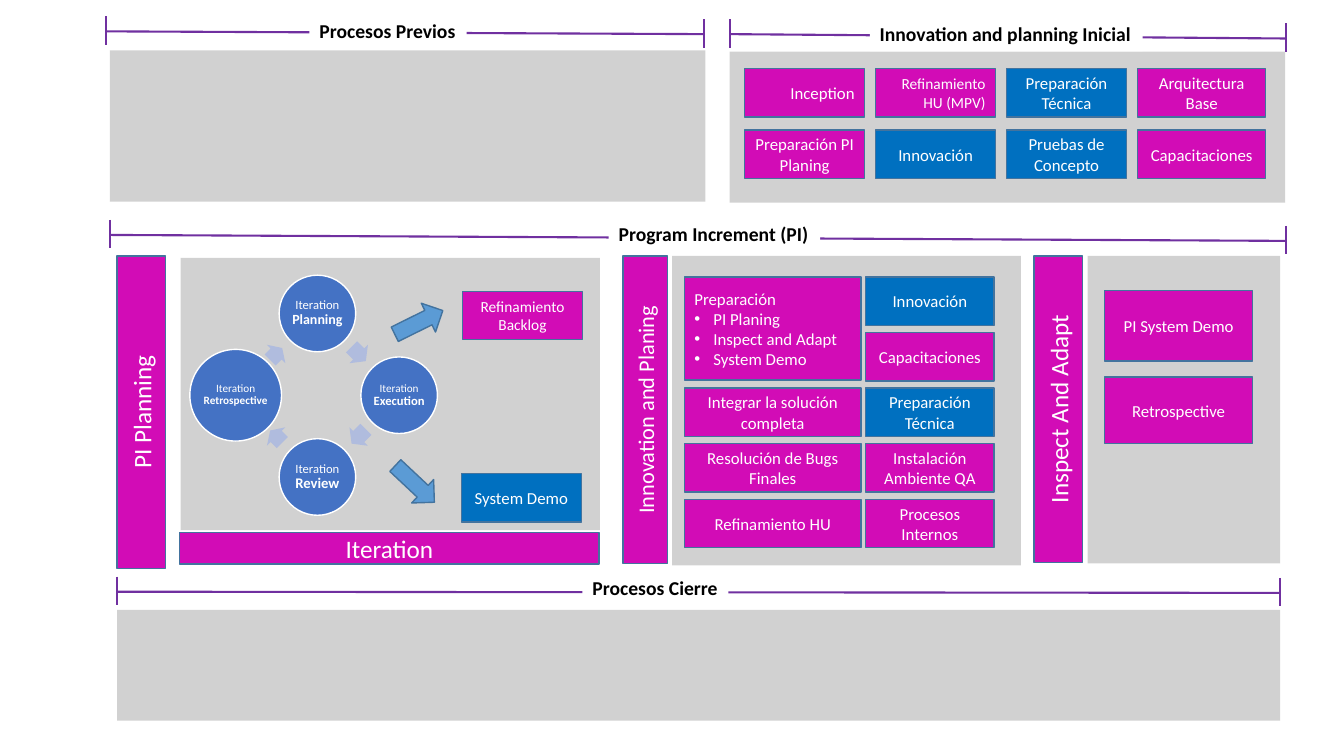
from math import cos, radians, sin
from lxml.etree import SubElement
from pptx import Presentation
from pptx.dml.color import RGBColor
from pptx.enum.shapes import MSO_CONNECTOR, MSO_SHAPE
from pptx.enum.text import MSO_ANCHOR, MSO_AUTO_SIZE, PP_ALIGN
from pptx.oxml.ns import qn
from pptx.util import Cm, Pt

THEME = {
    "font": "Calibri",
    "pink": "D20CB6", "blue": "0070C0", "edge": "43739E", "gray": "A5A5A5",
    "violet": "7030A0", "white": "FFFFFF", "black": "000000",
    "disc": "4472C4", "link": "B0BCDE", "arrow": "5B9BD5",
    "small": 11, "body": 12, "head": 14, "side": 16, "title": 18,
}
LEFT, MID, RIGHT, FULL = PP_ALIGN.LEFT, PP_ALIGN.CENTER, PP_ALIGN.RIGHT, PP_ALIGN.JUSTIFY

# All lengths are in centimetres: left, top, width, height
PANELS = [
    (18.39, 1.3, 14, 3.81), (4.55, 6.5, 10.57, 6.86), (16.94, 6.45, 8.79, 7.8),
    (27.41, 6.45, 4.85, 7.75), (2.77, 1.27, 15.01, 3.81), (2.95, 15.37, 29.31, 2.79),
]

# Label, its left, top and width, then the start and end of the line
SPANS = [
    ("Procesos Previos", (7.8, 0.36, 3.96), (2.67, 0.79), (17.75, 0.86)),
    ("Innovation and planning Inicial", (21.92, 0.43, 6.88), (18.39, 0.86), (32.4, 0.97)),
    ("Program Increment (PI)", (15.34, 5.46, 5.33), (2.77, 5.92), (32.41, 6.07)),
    ("Procesos Cierre", (14.68, 14.38, 3.68), (2.95, 14.91), (32.26, 14.94)),
]
TICK = (-0.38, 0.34)

# Text, fill, size, alignment
START = [
    [("Inception", "pink", "body", RIGHT), ("Refinamiento HU (MPV)", "pink", "small", RIGHT),
     ("Preparación Técnica", "blue", "body", MID), ("Arquitectura Base", "pink", "body", MID)],
    [("Preparación PI Planing", "pink", "body", MID), ("Innovación", "blue", "body", MID),
     ("Pruebas de Concepto", "blue", "body", MID), ("Capacitaciones", "pink", "body", MID)],
]
PREP = ("Preparación", ["PI Planing", "Inspect and Adapt", "System Demo"])
TASKS = ["Integrar la solución completa", "Resolución de Bugs Finales", "Refinamiento HU"]
SUPPORT = [
    ("Innovación", "blue"), ("Capacitaciones", "pink"), ("Preparación Técnica", "blue"),
    ("Instalación Ambiente QA", "pink"), ("Procesos Internos", "pink"),
]
SINGLES = [
    ("Refinamiento Backlog", (11.66, 7.34, 3.02, 1.22), "pink", "small"),
    ("System Demo", (11.63, 11.94, 3.02, 1.22), "blue", "body"),
    ("PI System Demo", (27.84, 7.32, 3.73, 1.78), "pink", "body"),
    ("Retrospective", (27.84, 9.5, 3.73, 1.68), "pink", "body"),
    ("Iteration", (4.53, 13.42, 10.57, 0.79), "pink", "title"),
]
BARS = [
    ("PI Planning", (2.95, 6.45, 1.22, 7.87), "title"),
    ("Innovation and Planing", (15.7, 6.45, 1.12, 7.75), "side"),
    ("Inspect And Adapt", (26.06, 6.45, 1.22, 7.72), "title"),
]
# Name, diameter, size of "Iteration", size of name, width of the next link
CYCLE = [
    ("Planning", 1.93, 9, 10, 0.51), ("Execution", 1.93, 8, 9, 0.51),
    ("Review", 1.93, 9, 10.5, 0.43), ("Retrospective", 2.31, 8, 8, 0.43),
]
HUB, REACH, INNER = (8, 9.96), 2.06, 1.47
ARROWS = [((9.88, 7.72, 1.35, 0.81), 333.7), ((9.78, 11.79, 1.35, 0.81), 43.2)]

deck = Presentation()
deck.slide_width, deck.slide_height = Cm(33.87), Cm(19.05)
slide = deck.slides.add_slide(deck.slide_layouts[6])


def rgb(name):
    return RGBColor.from_string(THEME[name])


def put(item, values):
    for key, value in values.items():
        setattr(item, key, value)


def shape(kind, box, fill, edge=None):
    item = slide.shapes.add_shape(kind, *map(Cm, box))
    item.shadow.inherit = False
    item.fill.solid()
    item.fill.fore_color.rgb = rgb(fill)
    if edge:
        item.line.color.rgb = rgb(edge)
        item.line.width = Pt(1)
    else:
        item.line.fill.background()
    return item


def style(run, size, color="white", bold=False):
    put(run.font, {"name": THEME["font"], "size": Pt(size), "bold": bold})
    run.font.color.rgb = rgb(color)


def write(par, text, size, align=MID, color="white", bold=False):
    par.alignment = align
    run = par.add_run()
    run.text = text
    style(run, size, color, bold)


def card(text, box, fill="pink", size="body", align=MID):
    item = shape(MSO_SHAPE.RECTANGLE, box, fill, "edge")
    put(item.text_frame, {"word_wrap": True, "vertical_anchor": MSO_ANCHOR.MIDDLE})
    write(item.text_frame.paragraphs[0], text, THEME[size], align)
    return item


def rule(start, end):
    line = slide.shapes.add_connector(MSO_CONNECTOR.STRAIGHT, *map(Cm, start + end))
    line.line.color.rgb = rgb("violet")
    line.line.width = Pt(1.5)
    SubElement(line.element.spPr, qn("a:effectLst"))


def span(text, place, start, end):
    """Draw a line with end ticks and a label that covers its middle."""
    rule(start, end)
    for x, y in (start, end):
        rule((x, y + TICK[0]), (x, y + TICK[1]))
    label = shape(MSO_SHAPE.RECTANGLE, place + (0.86,), "white")
    put(label.text_frame, {"word_wrap": False, "auto_size": MSO_AUTO_SIZE.SHAPE_TO_FIT_TEXT,
                           "vertical_anchor": MSO_ANCHOR.TOP})
    write(label.text_frame.paragraphs[0], text, THEME["head"], LEFT, "black", True)


def bullet(par):
    props = par._p.get_or_add_pPr()
    props.set("marL", str(Cm(0.48)))
    props.set("indent", str(-Cm(0.48)))
    SubElement(props, qn("a:buFont")).set("typeface", "Arial")
    SubElement(props, qn("a:buChar")).set("char", "•")


def orbit(angle, reach, wide, high):
    """Box centred on the circle around the hub, clockwise from the top."""
    turn = radians(angle)
    x, y = HUB[0] + reach * sin(turn), HUB[1] - reach * cos(turn)
    return x - wide / 2, y - high / 2, wide, high


def cycle():
    for i, (name, size, small, large, wide) in enumerate(CYCLE):
        disc = shape(MSO_SHAPE.OVAL, orbit(90 * i, REACH, size, size), "disc", "white")
        put(disc.text_frame, {"word_wrap": True, "vertical_anchor": MSO_ANCHOR.MIDDLE,
                              "margin_left": 0, "margin_right": 0,
                              "margin_top": 0, "margin_bottom": 0})
        par = disc.text_frame.paragraphs[0]
        par.line_spacing = 0.9
        write(par, "Iteration ", small)
        write(par, name, large, bold=True)
        angle = 90 * i + 45
        link = shape(MSO_SHAPE.RIGHT_ARROW, orbit(angle, INNER, wide, 0.66), "link")
        link.rotation = angle
        link.adjustments[0] = 0.6


def main():
    for box in PANELS:
        panel = shape(MSO_SHAPE.RECTANGLE, box, "gray")
        tint = panel.element.spPr.find(".//" + qn("a:srgbClr"))
        SubElement(tint, qn("a:alpha")).set("val", "50000")
    for entry in SPANS:
        span(*entry)

    for r, row in enumerate(START):
        for c, (text, fill, size, align) in enumerate(row):
            wide = 3.23 if c == 3 else 3.02
            card(text, (18.77 + 3.3 * c, 1.73 + 1.55 * r, wide, 1.22), fill, size, align)

    top, step = 6.98, 1.4
    title, points = PREP
    prep = card(title, (17.25, top, 4.45, 2.6), align=FULL)
    for text in points:
        par = prep.text_frame.add_paragraph()
        bullet(par)
        write(par, text, THEME["body"], FULL)
    for i, text in enumerate(TASKS, 2):
        card(text, (17.25, top + step * i, 4.45, 1.22))
    for i, (text, fill) in enumerate(SUPPORT):
        card(text, (21.82, top + step * i, 3.23, 1.22), fill)

    for entry in SINGLES:
        card(*entry)
    for text, box, size in BARS:
        bar = card(text, box, size=size)
        bar.element.txBody.bodyPr.set("vert", "vert270")
    cycle()
    for box, turn in ARROWS:
        shape(MSO_SHAPE.RIGHT_ARROW, box, "arrow", "edge").rotation = turn
    deck.save("out.pptx")


if __name__ == "__main__":
    main()
